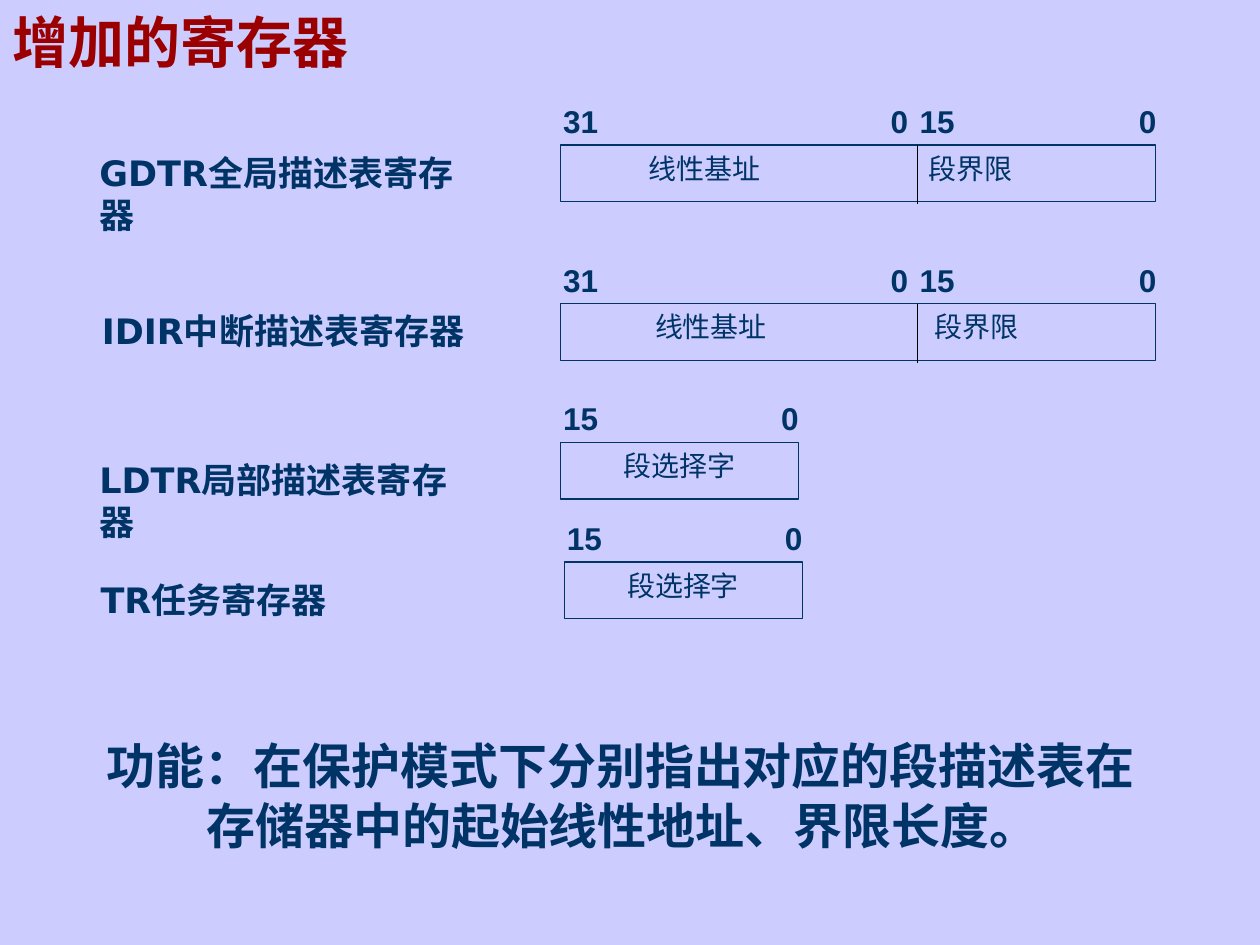
from lxml.etree import SubElement
from pptx import Presentation
from pptx.dml.color import RGBColor
from pptx.enum.shapes import MSO_CONNECTOR, MSO_SHAPE
from pptx.enum.text import MSO_ANCHOR
from pptx.oxml.ns import qn
from pptx.util import Inches, Pt

COLORS = {"paper": "CCCCFF", "title": "9A0000", "ink": "003366", "divider": "000000"}
BAR_HEIGHT = 0.45
DIVIDER_X = 2.83  # from the left edge of a wide register


def color(name):
    return RGBColor.from_string(COLORS[name])


def style(para, size, font="Arial", bold=True, ink="ink"):
    para.font.size = Pt(size)
    para.font.name = font
    para.font.bold = bold
    para.font.color.rgb = color(ink)


def add_text(page, box, text, size, **look):
    """Text box with one paragraph for each line of text."""
    frame = page.shapes.add_textbox(*map(Inches, box)).text_frame
    frame.word_wrap = True
    frame.text = text
    for para in frame.paragraphs:
        style(para, size, **look)
    return frame


def set_stops(para, stops):
    """Left tab stops, in inches from the text edge."""
    tabs = SubElement(para._p.get_or_add_pPr(), qn("a:tabLst"))
    for stop in stops:
        SubElement(tabs, qn("a:tab"), pos=str(Inches(stop)), algn="l")


def add_register(page, box, fields, stops, bits):
    """Bar with named fields, and bit numbers above it."""
    left, top, width, height = box
    bar = page.shapes.add_shape(MSO_SHAPE.RECTANGLE, *map(Inches, box))
    bar.shadow.inherit = False
    bar.fill.background()
    bar.line.color.rgb = color("ink")
    bar.line.width = Pt(0.75)
    bar.text_frame.vertical_anchor = MSO_ANCHOR.TOP
    bar.text_frame.text = "".join("\t" + field for field in fields)
    para = bar.text_frame.paragraphs[0]
    para.alignment = 1  # left
    set_stops(para, stops)
    style(para, 16, bold=False)

    # Divider between the two fields
    if len(fields) > 1:
        x = Inches(left + DIVIDER_X)
        line = page.shapes.add_connector(
            MSO_CONNECTOR.STRAIGHT, x, Inches(top), x, Inches(top + height + 0.02))
        line.line.color.rgb = color("divider")
        line.line.width = Pt(0.75)
        SubElement(line._element.spPr, qn("a:effectLst"))

    # Bit numbers
    for bit, offset, bit_width in bits:
        add_text(page, (left + offset, top - 0.39, bit_width, 0.4), bit, 18)


def add_summary(page, box):
    frame = add_text(
        page, box,
        "功能：在保护模式下分别指出对应的段描述表在\n存储器中的起始线性地址、界限长度。", 28)
    frame.margin_top = Inches(0.37)
    for para, indent in zip(frame.paragraphs, (0, 0.79)):
        para.line_spacing = 0.8
        para.space_before = Pt(7)
        para._p.get_or_add_pPr().set("marL", str(Inches(indent)))


def main():
    deck = Presentation()
    deck.slide_width, deck.slide_height = Inches(10), Inches(7.5)
    page = deck.slides.add_slide(deck.slide_layouts[6])
    page.background.fill.solid()
    page.background.fill.fore_color.rgb = color("paper")

    # Title
    title = add_text(page, (0, 0, 4.33, 0.64), "增加的寄存器", 32,
                     font="Times New Roman", ink="title")
    title.vertical_anchor = MSO_ANCHOR.BOTTOM

    # Registers: name and its box, then the bar
    wide_bits = [("31", -0.08, 0.55), ("0", 2.52, 0.39),
                 ("15", 2.75, 0.55), ("0", 4.49, 0.31)]
    narrow_bits = [("15", -0.08, 0.55), ("0", 1.65, 0.31)]
    wide, narrow = ["线性基址", "段界限"], ["段选择字"]
    rows = [
        ("GDTR全局描述表寄存器", (0.69, 1.15, 3.25), (4.45, 1.15, 4.72),
         wide, (0.6, 2.82), wide_bits),
        ("IDIR中断描述表寄存器", (0.71, 2.41, 3.1), (4.45, 2.41, 4.72),
         wide, (0.65, 2.87), wide_bits),
        ("LDTR局部描述表寄存器", (0.69, 3.59, 3.2), (4.45, 3.51, 1.89),
         narrow, (0.4,), narrow_bits),
        ("TR任务寄存器", (0.7, 4.54, 2.01), (4.48, 4.46, 1.89),
         narrow, (0.4,), narrow_bits),
    ]
    for name, name_box, bar_box, fields, stops, bits in rows:
        add_text(page, (*name_box, 0.43), name, 20, font="DejaVu Sans")
        add_register(page, (*bar_box, BAR_HEIGHT), fields, stops, bits)

    add_summary(page, (0.75, 5.56, 8.59, 1.65))
    deck.save("out.pptx")


if __name__ == "__main__":
    main()
